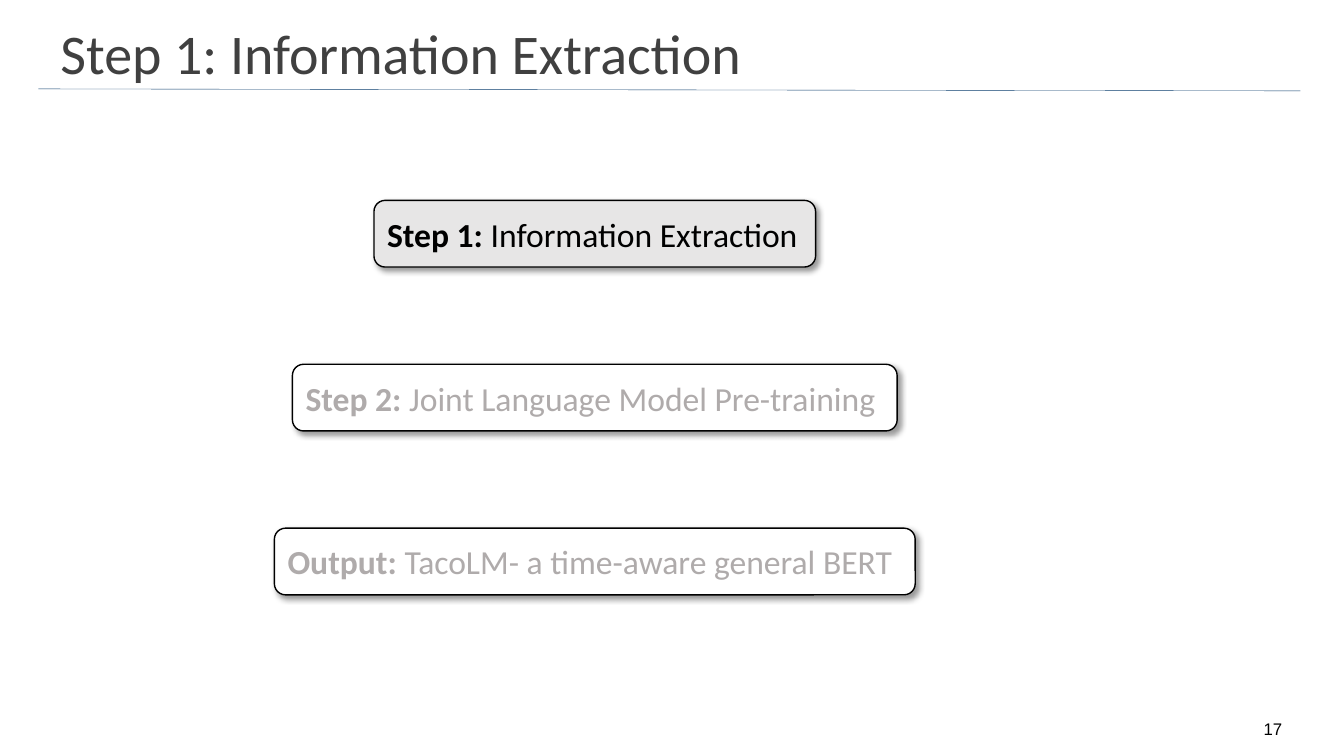
from lxml import etree
from pptx import Presentation
from pptx.dml.color import RGBColor
from pptx.enum.shapes import MSO_CONNECTOR, MSO_SHAPE
from pptx.enum.text import MSO_ANCHOR, MSO_AUTO_SIZE, PP_ALIGN
from pptx.oxml import parse_xml
from pptx.oxml.ns import nsdecls, qn
from pptx.util import Cm, Pt

BLACK = RGBColor(0x00, 0x00, 0x00)
WHITE = RGBColor(0xFF, 0xFF, 0xFF)
TITLE_GRAY = RGBColor(0x40, 0x40, 0x40)
ACTIVE_FILL = RGBColor(0xE7, 0xE6, 0xE6)
MUTED_TEXT = RGBColor(0xAF, 0xAB, 0xAB)
RULE_BLUE = RGBColor(0x09, 0x3D, 0x6E)

# Content
TITLE = "Step 1: Information Extraction"
PAGE = "17"
STEPS = [  # label, description, width in cm, fill, text colour
    ("Step 1: ", "Information Extraction", 11.13, ACTIVE_FILL, BLACK),
    ("Step 2: ", "Joint Language Model Pre-training", 15.24, WHITE, MUTED_TEXT),
    ("Output: ", "TacoLM- a time-aware general BERT", 16.15, WHITE, MUTED_TEXT),
]

# Layout in cm: the steps share one centre line and an even pitch
STEP_CENTER, STEP_TOP, STEP_PITCH, STEP_HEIGHT = 14.99, 5.05, 4.13, 1.68


def add_shadow(box):
    box.shadow.inherit = False
    box._element.spPr.find(qn("a:effectLst")).append(parse_xml(
        f'<a:outerShdw {nsdecls("a")} blurRad="{Pt(4)}" dist="{Pt(3)}" '
        'dir="2700000" algn="tl" rotWithShape="0">'
        '<a:srgbClr val="000000"><a:alpha val="40000"/></a:srgbClr></a:outerShdw>'))


def add_step(slide, index, label, description, width, fill, color):
    box = slide.shapes.add_shape(
        MSO_SHAPE.ROUNDED_RECTANGLE, Cm(STEP_CENTER - width / 2),
        Cm(STEP_TOP + index * STEP_PITCH), Cm(width), Cm(STEP_HEIGHT))
    box.fill.solid()
    box.fill.fore_color.rgb = fill
    box.line.color.rgb = BLACK
    box.line.width = Pt(1)
    add_shadow(box)
    box.text_frame.vertical_anchor = MSO_ANCHOR.MIDDLE
    step = box.text_frame.paragraphs[0]
    step.alignment = PP_ALIGN.LEFT
    for text, bold in ((label, True), (description, False)):
        run = step.add_run()
        run.text = text
        run.font.bold = bold
    set_font(step, "Calibri", 24, color)


def set_font(paragraph, name, size, color):
    paragraph.font.name = name
    paragraph.font.size = Pt(size)
    paragraph.font.color.rgb = color


def main():
    prs = Presentation()
    prs.slide_width, prs.slide_height = Cm(33.87), Cm(19.05)
    slide = prs.slides.add_slide(prs.slide_layouts[5])

    # Rule under the title
    rule = slide.shapes.add_connector(
        MSO_CONNECTOR.STRAIGHT, Cm(0.97), Cm(2.24), Cm(32.77), Cm(2.29))
    rule.line.color.rgb = RULE_BLUE
    rule.line.width = Pt(0.25)
    etree.SubElement(rule._element.spPr, qn("a:effectLst"))

    # Title
    title = slide.shapes.title
    title.left, title.top, title.width, title.height = (
        Cm(1.27), Cm(0.58), Cm(27.46), Cm(1.47))
    title.text_frame.text = TITLE
    title.text_frame.auto_size = MSO_AUTO_SIZE.NONE
    title.text_frame.vertical_anchor = MSO_ANCHOR.MIDDLE
    heading = title.text_frame.paragraphs[0]
    heading.alignment = PP_ALIGN.LEFT
    set_font(heading, "Calibri", 40, TITLE_GRAY)

    # Steps
    for index, step in enumerate(STEPS):
        add_step(slide, index, *step)

    # Page number
    footer = slide.shapes.add_textbox(Cm(31.37), Cm(18.11), Cm(1.42), Cm(0.64)).text_frame
    footer.word_wrap = True
    footer.vertical_anchor = MSO_ANCHOR.BOTTOM
    footer.text = PAGE
    page = footer.paragraphs[0]
    page.alignment = PP_ALIGN.CENTER
    set_font(page, "Arial", 12, BLACK)

    prs.save("out.pptx")


if __name__ == "__main__":
    main()
